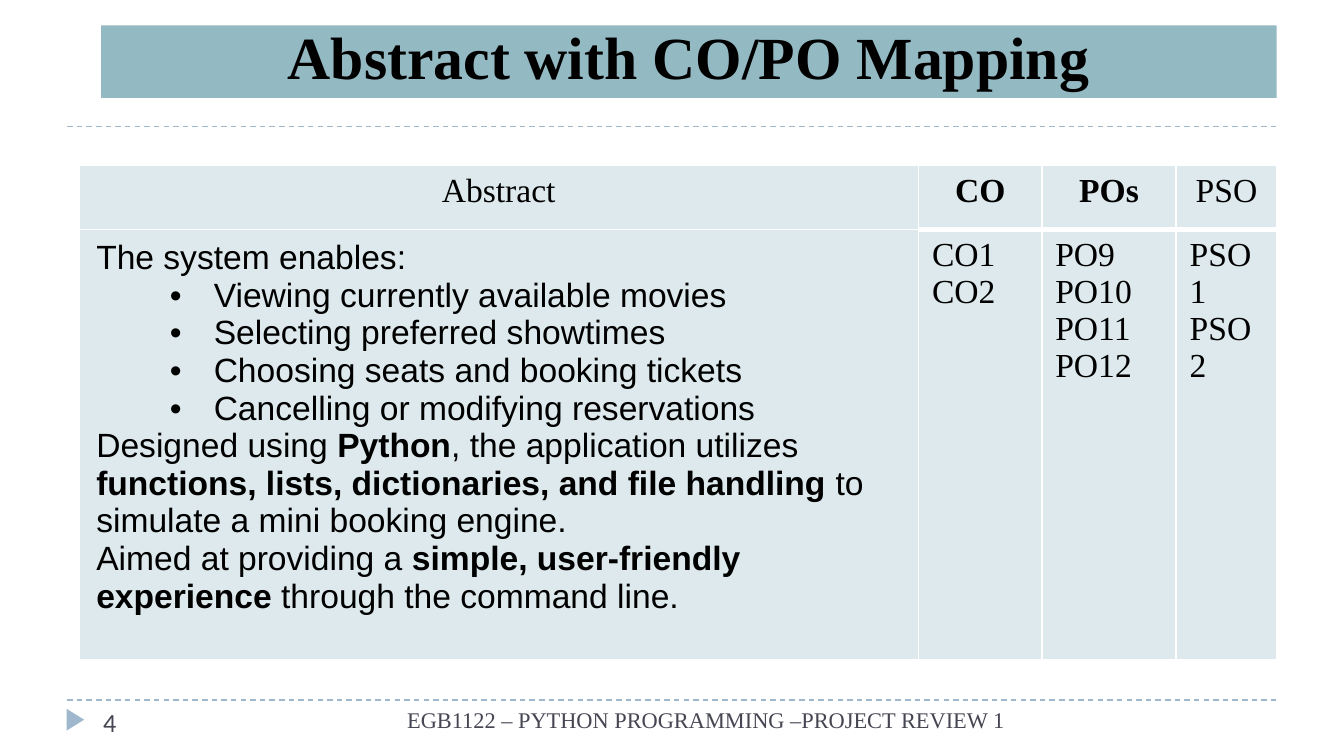
"""Builds the abstract slide with its CO/PO mapping table."""
from dataclasses import dataclass

from lxml import etree
from pptx import Presentation
from pptx.dml.color import RGBColor
from pptx.enum.dml import MSO_LINE
from pptx.enum.shapes import MSO_CONNECTOR, MSO_SHAPE
from pptx.enum.text import MSO_ANCHOR, PP_ALIGN
from pptx.oxml.ns import qn
from pptx.util import Cm, Pt

LEFT, CENTER, RIGHT = PP_ALIGN.LEFT, PP_ALIGN.CENTER, PP_ALIGN.RIGHT
TOP, BOTTOM = MSO_ANCHOR.TOP, MSO_ANCHOR.BOTTOM
RECT, TRIANGLE = MSO_SHAPE.RECTANGLE, MSO_SHAPE.ISOSCELES_TRIANGLE
STRAIGHT, DASH = MSO_CONNECTOR.STRAIGHT, MSO_LINE.DASH


@dataclass(frozen=True)
class Theme:
    serif: str = "Times New Roman"
    sans: str = "Arial"
    number: str = "Calibri"
    ink: str = "000000"
    muted: str = "464653"
    accent: str = "9FB8CD"
    banner: str = "93B9C3"
    cell: str = "DDE9EC"
    border: str = "FFFFFF"
    title_size: int = 32
    body_size: int = 18
    number_size: int = 14
    footer_size: int = 12


class SlideBuilder:
    def __init__(self, slide, theme):
        self.s, self.theme = slide, theme

    def add_text(self, p, text, font, size, color, align=LEFT, bold=False):
        p.alignment = align
        for i, part in enumerate(text.split("**")):
            if part:
                r = p.add_run()
                r.text = part
                r.font.name, r.font.size = font, Pt(size)
                r.font.bold = bold or i % 2 == 1
                r.font.color.rgb = RGBColor.from_string(color)

    def rule(self, y):
        line = self.s.shapes.add_connector(STRAIGHT, Cm(1.27), Cm(y), Cm(24.13), Cm(y))
        line.line.color.rgb = RGBColor.from_string(self.theme.accent)
        line.line.width, line.line.dash_style = Pt(0.75), DASH
        etree.SubElement(line._element.spPr, qn("a:effectLst"))

    def shape(self, kind, box, color, rotation=0):
        sp = self.s.shapes.add_shape(kind, *map(Cm, box))
        sp.shadow.inherit = False
        sp.fill.solid()
        sp.fill.fore_color.rgb = RGBColor.from_string(color)
        sp.line.fill.background()
        sp.rotation = rotation
        return sp

    def title(self, box, text):
        t = self.theme
        tf = self.shape(RECT, box, t.banner).text_frame
        tf.word_wrap, tf.vertical_anchor = True, BOTTOM
        self.add_text(tf.paragraphs[0], text, t.serif, t.title_size, t.ink, CENTER, True)

    def label(self, box, text, font, size, align=LEFT):
        tf = self.s.shapes.add_textbox(*map(Cm, box)).text_frame
        tf.word_wrap, tf.vertical_anchor = True, TOP
        self.add_text(tf.paragraphs[0], text, font, size, self.theme.muted, align)

    def bullet(self, p):
        pPr = p._p.get_or_add_pPr()
        pPr.set("lvl", "1")
        pPr.set("marL", str(Cm(2.22)))
        pPr.set("indent", str(Cm(-0.83)))
        color = etree.SubElement(pPr, qn("a:buClr"))
        etree.SubElement(color, qn("a:srgbClr"), val=self.theme.ink)
        etree.SubElement(pPr, qn("a:buFont"), typeface=self.theme.sans)
        etree.SubElement(pPr, qn("a:buChar"), char="•")

    def borders(self, cell, widths):
        tcPr = cell._tc.get_or_add_tcPr()
        for i, (side, width) in enumerate(widths.items()):
            ln = etree.Element(qn(f"a:ln{side}"), w=str(Pt(width)))
            fill = etree.SubElement(ln, qn("a:solidFill"))
            etree.SubElement(fill, qn("a:srgbClr"), val=self.theme.border)
            tcPr.insert(i, ln)

    def cell(self, cell, lines, font, align=LEFT, bold=False):
        t = self.theme
        cell.fill.solid()
        cell.fill.fore_color.rgb = RGBColor.from_string(t.cell)
        tf = cell.text_frame
        for i, text in enumerate(lines):
            p = tf.add_paragraph() if i else tf.paragraphs[0]
            self.add_text(p, text.removeprefix("• "), font, t.body_size, t.ink, align, bold)
            if text.startswith("• "):
                self.bullet(p)

    def table(self, left, top, widths, heights, headers, bodies, bold_headers):
        t = self.theme
        frame = self.s.shapes.add_table(2, len(widths), Cm(left), Cm(top),
                                        Cm(sum(widths)), Cm(sum(heights)))
        table = frame.table
        for row, height in zip(table.rows, heights):
            row.height = Cm(height)
        for c, (width, header, body) in enumerate(zip(widths, headers, bodies)):
            table.columns[c].width = Cm(width)
            head, content = table.cell(0, c), table.cell(1, c)
            self.cell(head, [header], t.serif, CENTER, header in bold_headers)
            self.cell(content, body, t.serif if c else t.sans)
            divider = 3 if c else 1
            self.borders(head, {"L": 1, "R": 1, "T": 1, "B": divider})
            self.borders(content, {"L": 1, "R": 1, "T": divider, "B": 1})
        abstract = table.cell(1, 0)
        abstract.margin_left = abstract.margin_right = Cm(0.33)
        abstract.margin_top = abstract.margin_bottom = Cm(0.18)


def main():
    prs = Presentation()
    prs.slide_width, prs.slide_height = Cm(25.4), Cm(14.29)
    theme = Theme()
    b = SlideBuilder(prs.slides.add_slide(prs.slide_layouts[6]), theme)

    for y in (13.23, 2.39):
        b.rule(y)
    b.shape(TRIANGLE, (1.22, 13.44, 0.41, 0.33), theme.accent, 90)
    b.title((1.91, 0.48, 22.22, 1.37), "Abstract with CO/PO Mapping")
    b.label((6.55, 13.23, 12.7, 1.04), "EGB1122 – PYTHON PROGRAMMING –PROJECT REVIEW 1",
            theme.serif, theme.footer_size, RIGHT)
    b.label((1.7, 13.23, 5.51, 0.76), "4", theme.number, theme.number_size)

    abstract = [
        "The system enables:",
        "• Viewing currently available movies",
        "• Selecting preferred showtimes",
        "• Choosing seats and booking tickets",
        "• Cancelling or modifying reservations",
        "Designed using **Python**, the application utilizes **functions, lists, "
        "dictionaries, and file handling** to simulate a mini booking engine.",
        "Aimed at providing a **simple, user-friendly experience** through the command line.",
    ]
    b.table(1.49, 3.13, (15.87, 2.33, 2.54, 1.9), (1.21, 8.13),
            ("Abstract", "CO", "POs", "PSO"),
            (abstract, ["CO1", "CO2"], ["PO9", "PO10", "PO11", "PO12"], ["PSO1", "PSO2"]),
            ("CO", "POs"))
    prs.save("out.pptx")


if __name__ == "__main__":
    main()
